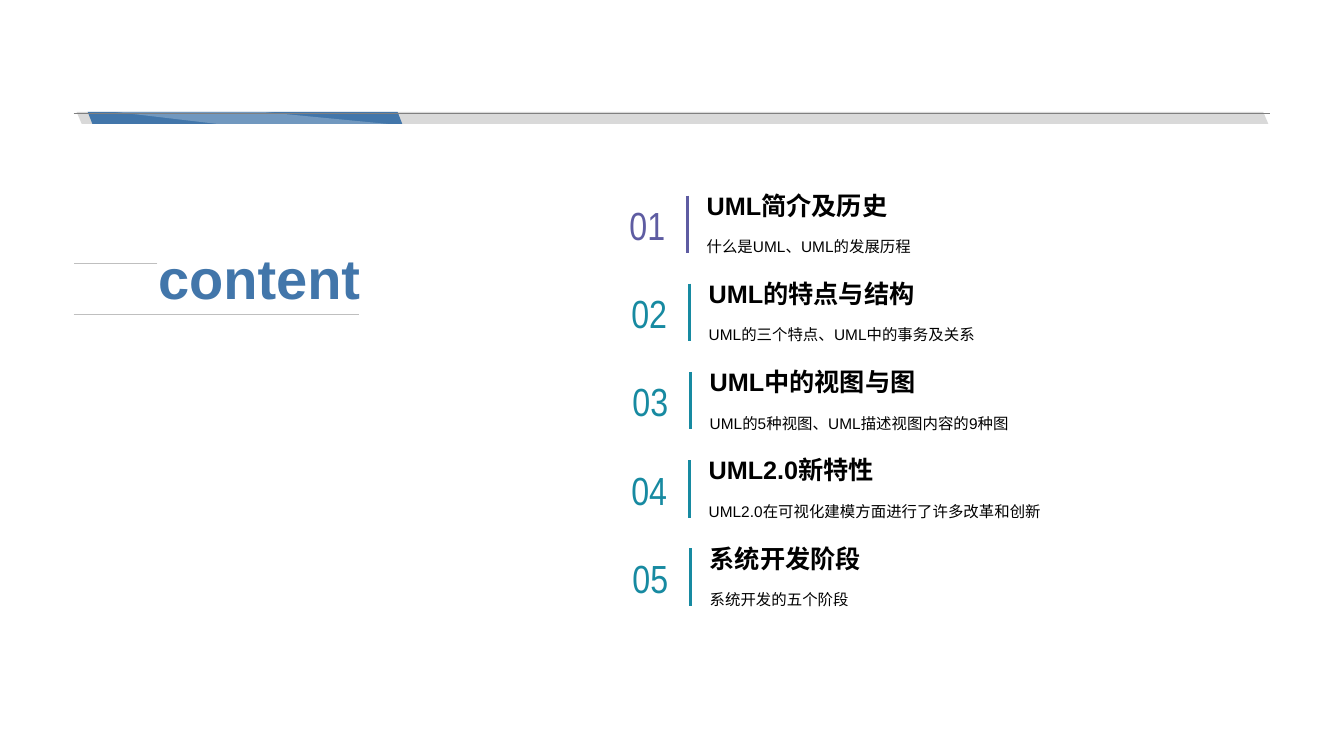
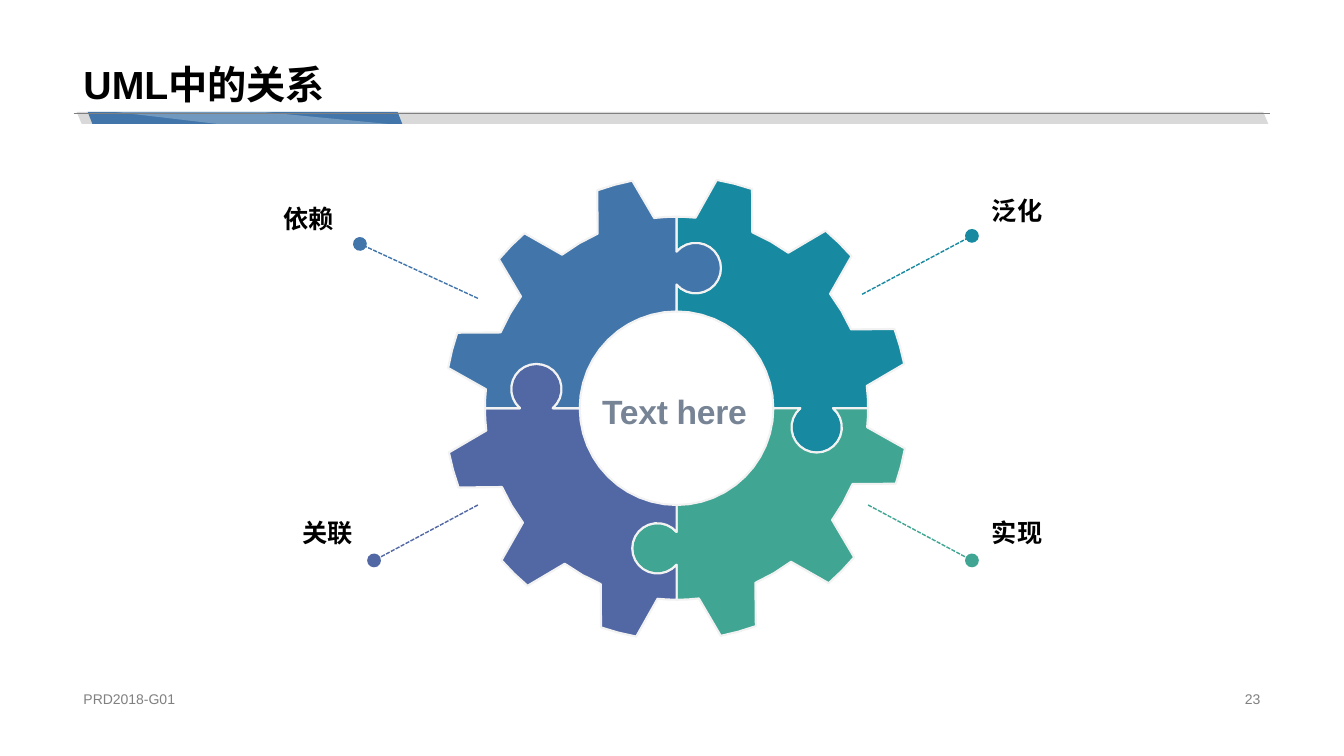
from dataclasses import dataclass
from math import asin, cos, degrees, radians, sin

from lxml.etree import SubElement
from pptx import Presentation
from pptx.dml.color import RGBColor
from pptx.enum.dml import MSO_LINE
from pptx.enum.shapes import MSO_CONNECTOR, MSO_SHAPE
from pptx.enum.text import MSO_ANCHOR, PP_ALIGN
from pptx.oxml.ns import qn
from pptx.util import Inches, Pt

Point = tuple[float, float]
Box = tuple[float, float, float, float]


@dataclass(frozen=True)
class Theme:
    font: str = "Arial"
    number_font: str = "Arial Narrow"
    black: RGBColor = RGBColor.from_string("000000")
    white: RGBColor = RGBColor.from_string("FFFFFF")
    band: RGBColor = RGBColor.from_string("D9D9D9")
    rule: RGBColor = RGBColor.from_string("BFBFBF")
    muted: RGBColor = RGBColor.from_string("808080")
    outline: RGBColor = RGBColor.from_string("F2F2F2")
    slate: RGBColor = RGBColor.from_string("778495")
    purple: RGBColor = RGBColor.from_string("5E5CA2")
    blue: RGBColor = RGBColor.from_string("4276AA")
    teal: RGBColor = RGBColor.from_string("178AA1")
    green: RGBColor = RGBColor.from_string("40A693")
    indigo: RGBColor = RGBColor.from_string("5268A5")
    cover_size: int = 40
    title_size: int = 28
    center_size: int = 24
    heading_size: int = 18
    body_size: int = 11
    footer_size: int = 10


T = Theme()
MARGIN = 0.73
CONTENT_WIDTH = 11.87


@dataclass(frozen=True)
class AgendaItem:
    heading: str
    detail: str
    left: float
    color: RGBColor = T.teal


@dataclass(frozen=True)
class Callout:
    label: str
    color: RGBColor
    start: Point
    dot: Point
    label_left: float
    label_top: float


AGENDA = [
    AgendaItem("UML简介及历史", "什么是UML、UML的发展历程", 6.91, T.purple),
    AgendaItem("UML的特点与结构", "UML的三个特点、UML中的事务及关系", 6.93),
    AgendaItem("UML中的视图与图", "UML的5种视图、UML描述视图内容的9种图", 6.94),
    AgendaItem("UML2.0新特性", "UML2.0在可视化建模方面进行了许多改革和创新", 6.93),
    AgendaItem("系统开发阶段", "系统开发的五个阶段", 6.94),
]
AGENDA_TOP = 1.86
AGENDA_PITCH = 3.5 / (len(AGENDA) - 1)

CALLOUTS = [
    Callout("泛化", T.teal, (8.55, 2.92), (9.64, 2.34), 9.74, 1.91),
    Callout("实现", T.green, (8.61, 5.01), (9.64, 5.56), 9.74, 5.11),
    Callout("关联", T.indigo, (4.74, 5.01), (3.71, 5.56), 0.73, 5.11),
    Callout("依赖", T.blue, (4.74, 2.96), (3.57, 2.42), 0.54, 1.99),
]
LABEL_WIDTH = 2.87

GEAR_CENTER = (6.71, 4.05)
HUB_RADIUS = 0.96
ROOT_RADIUS = 1.9
TIP_RADIUS = 2.3
TOOTH_CENTERS = (14.5, 44.5, 74.5)
ROOT_HALF_ANGLE = 8.8
TIP_HALF_ANGLE = 4.5
KNOB_CENTER = (1.39, 0.19)
KNOB_RADIUS = 0.25


def style_shape(sp, fill: RGBColor, line: RGBColor | None = None, width: float = 0) -> None:
    sp.shadow.inherit = False
    sp.fill.solid()
    sp.fill.fore_color.rgb = fill
    if line is None:
        sp.line.fill.background()
    else:
        sp.line.color.rgb = line
        sp.line.width = Pt(width)


def add_text(s, text: str, box: Box, size: int, color: RGBColor = T.black, *,
             bold: bool = False, font: str = T.font, align: PP_ALIGN = PP_ALIGN.LEFT,
             anchor: MSO_ANCHOR = MSO_ANCHOR.MIDDLE, spacing: float = 1.0):
    """Add a one-paragraph text box and return its run."""
    tf = s.shapes.add_textbox(*map(Inches, box)).text_frame
    tf.word_wrap = True
    tf.vertical_anchor = anchor
    tf.text = text
    p = tf.paragraphs[0]
    p.alignment = align
    p.line_spacing = spacing
    r = p.runs[0]
    r.font.name = font
    r.font.size = Pt(size)
    r.font.bold = bold
    r.font.color.rgb = color
    return r


def add_line(s, start: Point, end: Point, color: RGBColor, width: float):
    line = s.shapes.add_connector(MSO_CONNECTOR.STRAIGHT, *map(Inches, start + end))
    line.line.color.rgb = color
    line.line.width = Pt(width)
    SubElement(line._element.spPr, qn("a:effectLst"))
    return line


def add_polygon(s, points: list[Point]):
    corners = [(Inches(x), Inches(y)) for x, y in points]
    builder = s.shapes.build_freeform(*corners[0])
    builder.add_line_segments(corners[1:], close=True)
    return builder.convert_to_shape()


def add_header_band(s) -> None:
    bars = [(0.76, 11.82, 0.424, T.band), (0.87, 3.12, 0.388, T.blue)]
    for left, width, slant, color in bars:
        bar = s.shapes.add_shape(MSO_SHAPE.PARALLELOGRAM, Inches(left), Inches(1.11),
                                 Inches(width), Inches(0.12))
        bar.adjustments[0] = slant
        bar._element.spPr.xfrm.set("flipH", "1")
        style_shape(bar, color)
    sheen = add_polygon(s, [(3.85, 1.23), (2.6, 1.11), (1.14, 1.11), (2.16, 1.23)])
    style_shape(sheen, T.white)
    color = sheen._element.spPr.find(qn("a:solidFill"))[0]
    SubElement(color, qn("a:alpha"), val="25000")
    add_line(s, (MARGIN, 1.12), (MARGIN + CONTENT_WIDTH, 1.12), T.muted, 0.25)


def new_slide(prs):
    s = prs.slides.add_slide(prs.slide_layouts[6])
    add_header_band(s)
    return s


def add_title_and_footer(s, title: str, footer: str, number: str) -> None:
    add_text(s, title, (MARGIN, 0, CONTENT_WIDTH, 1.12), T.title_size, bold=True,
             anchor=MSO_ANCHOR.BOTTOM, spacing=0.9)
    add_text(s, footer, (MARGIN, 6.82, 4.53, 0.23), T.footer_size, T.muted)
    add_text(s, number, (9.42, 6.82, 3.18, 0.23), T.footer_size, T.muted,
             align=PP_ALIGN.RIGHT)


def add_agenda_item(s, index: int, item: AgendaItem) -> None:
    top = AGENDA_TOP + index * AGENDA_PITCH
    bar_x = item.left - 0.09
    add_text(s, f"{index + 1:02}", (item.left - 0.77, top + 0.12, 0.56, 0.5),
             T.title_size, item.color, font=T.number_font, align=PP_ALIGN.CENTER)
    add_line(s, (bar_x, top + 0.08), (bar_x, top + 0.65), item.color, 2.25)
    add_text(s, item.detail, (item.left, top + 0.39, 3.95, 0.35), T.body_size,
             anchor=MSO_ANCHOR.TOP, spacing=1.3)
    add_text(s, item.heading, (item.left, top, 3.95, 0.38), T.heading_size, bold=True,
             anchor=MSO_ANCHOR.BOTTOM, spacing=0.9)


def arc(radius: float, start: float, end: float, steps: int,
        center: Point = (0, 0)) -> list[Point]:
    """Sample an arc; angles are in degrees, clockwise from the right."""
    angles = [radians(start + (end - start) * i / steps) for i in range(steps + 1)]
    return [(center[0] + radius * cos(a), center[1] + radius * sin(a)) for a in angles]


def rotate(points: list[Point], quarter_turns: int) -> list[Point]:
    """Turn points clockwise about the origin."""
    for _ in range(quarter_turns % 4):
        points = [(-y, x) for x, y in points]
    return points


def gear_quarter() -> list[Point]:
    """Outline the top right quarter, centred on the origin."""
    outline: list[Point] = []
    angle = -90.0
    for center in TOOTH_CENTERS:
        tooth = center - 90
        outline += arc(ROOT_RADIUS, angle, tooth - ROOT_HALF_ANGLE, 2)
        outline += arc(TIP_RADIUS, tooth - TIP_HALF_ANGLE, tooth + TIP_HALF_ANGLE, 2)
        angle = tooth + ROOT_HALF_ANGLE
    outline += arc(ROOT_RADIUS, angle, 0, 2)
    neck = degrees(asin(KNOB_CENTER[1] / KNOB_RADIUS))
    knob = arc(KNOB_RADIUS, -neck, 180 + neck, 20, KNOB_CENTER)
    socket = rotate(knob, 3)[::-1]
    return outline + knob + arc(HUB_RADIUS, 0, -90, 12) + socket


def add_gear(s) -> None:
    cx, cy = GEAR_CENTER
    quarter = gear_quarter()
    for turn, callout in enumerate(CALLOUTS):
        points = [(cx + x, cy + y) for x, y in rotate(quarter, turn)]
        style_shape(add_polygon(s, points), callout.color, T.outline, 1.5)


def add_callout_leader(s, callout: Callout) -> None:
    leader = add_line(s, callout.start, callout.dot, callout.color, 1)
    leader.line.dash_style = MSO_LINE.SQUARE_DOT
    SubElement(leader.line._get_or_add_ln(), qn("a:tailEnd"), type="oval", w="lg", len="lg")


def add_callout_label(s, callout: Callout) -> None:
    on_left = callout.dot[0] < GEAR_CENTER[0]
    add_text(s, callout.label, (callout.label_left, callout.label_top, LABEL_WIDTH, 0.35),
             T.heading_size, bold=True, align=PP_ALIGN.RIGHT if on_left else PP_ALIGN.LEFT)


def build_contents(prs) -> None:
    s = new_slide(prs)
    add_line(s, (1.56, 2.61), (MARGIN, 2.61), T.rule, 0.5)
    add_line(s, (MARGIN, 3.12), (3.56, 3.12), T.rule, 0.5)
    for index, item in enumerate(AGENDA):
        add_agenda_item(s, index, item)
    add_text(s, "content", (1.47, 2.43, 2.24, 0.72), T.cover_size, T.blue,
             bold=True, spacing=0.9)


def build_relationships(prs) -> None:
    s = new_slide(prs)
    add_title_and_footer(s, "UML中的关系", "PRD2018-G01", "23")
    add_gear(s)
    for callout in CALLOUTS:
        add_callout_leader(s, callout)
    r = add_text(s, "Text here", (5.78, 3.83, 1.82, 0.5), T.center_size, T.slate,
                 bold=True, align=PP_ALIGN.CENTER)
    r.font._element.set("spc", "-20")
    for callout in CALLOUTS:
        add_callout_label(s, callout)


def main() -> None:
    prs = Presentation()
    prs.slide_width = Inches(13.33)
    prs.slide_height = Inches(7.5)
    build_contents(prs)
    build_relationships(prs)
    prs.save("out.pptx")


if __name__ == "__main__":
    main()
